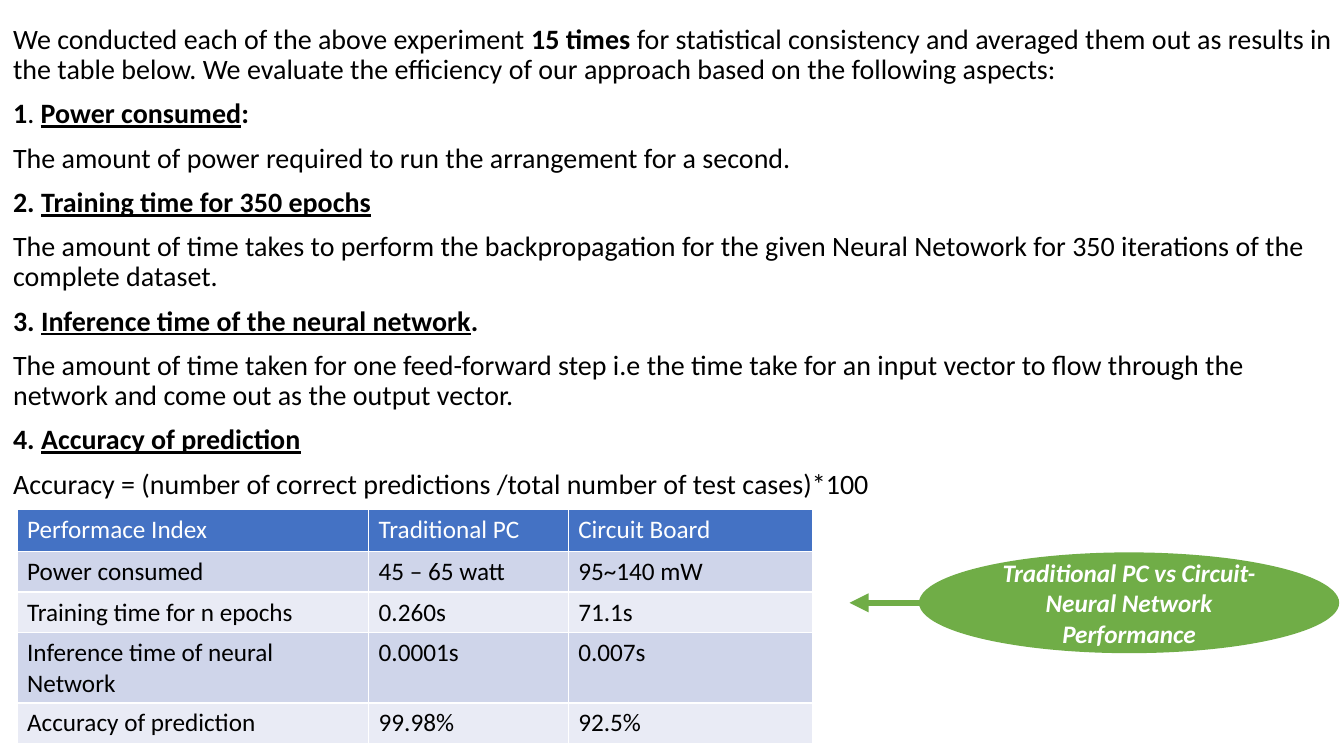
from lxml.etree import SubElement
from pptx import Presentation
from pptx.dml.color import RGBColor
from pptx.enum.shapes import MSO_CONNECTOR, MSO_SHAPE
from pptx.enum.text import MSO_ANCHOR, PP_ALIGN
from pptx.oxml.ns import qn
from pptx.util import Cm, Pt

BLACK = RGBColor(0x00, 0x00, 0x00)
WHITE = RGBColor(0xFF, 0xFF, 0xFF)
BLUE = RGBColor(0x44, 0x72, 0xC4)
DARK_BAND = RGBColor(0xCF, 0xD5, 0xEA)
LIGHT_BAND = RGBColor(0xE9, 0xEB, 0xF5)
GREEN = RGBColor(0x70, 0xAD, 0x47)

ASPECTS = [
    [("We conducted each of the above experiment ", ""), ("15 times ", "b"),
     ("for statistical consistency and averaged them out as results in the table below. "
      "We evaluate the efficiency of our approach based on the following aspects:", "")],
    [("1", "b"), (". ", ""), ("Power consumed", "bu"), (":", "b")],
    [("The amount of power required to run the arrangement for a second.", "")],
    [("2. ", "b"), ("Training time for 350 epochs", "bu")],
    [("The amount of time takes to perform the backpropagation for the given Neural Netowork "
      "for 350 iterations of the complete dataset.", "")],
    [("3. ", "b"), ("Inference time of the neural network", "bu"), (".", "b")],
    [("The amount of time taken for one feed-forward step i.e the time take for an input vector "
      "to flow through the network and come out as the output vector.", "")],
    [("4. ", "b"), ("Accuracy of prediction", "bu")],
    [("Accuracy = (number of correct predictions /total number of test cases)*100", "")],
]

RESULTS = [
    ["Performace Index", "Traditional PC", "Circuit Board"],
    ["Power consumed", "45 – 65 watt", "95~140 mW"],
    ["Training time for n epochs", "0.260s", "71.1s"],
    ["Inference time of neural\nNetwork", "0.0001s", "0.007s"],
    ["Accuracy of prediction", "99.98%", "92.5%"],
]


class SlideBuilder:
    font_name = "Calibri"
    body_size = Pt(20)
    label_size = Pt(18)

    def __init__(self, slide):
        self.slide = slide

    def style(self, span, size, color, marks=""):
        font = span.font
        font.name = self.font_name
        font.size = size
        font.color.rgb = color
        font.bold = "b" in marks
        font.italic = "i" in marks
        font.underline = "u" in marks

    def label(self, frame, text, color, marks="", align=PP_ALIGN.LEFT):
        frame.text = text
        for para in frame.paragraphs:
            para.alignment = align
            for span in para.runs:
                self.style(span, self.label_size, color, marks)

    def body(self, left, top, width, height, paragraphs):
        box = self.slide.shapes.add_textbox(Cm(left), Cm(top), Cm(width), Cm(height))
        frame = box.text_frame
        frame.word_wrap = True
        for index, spans in enumerate(paragraphs):
            para = frame.add_paragraph() if index else frame.paragraphs[0]
            para.line_spacing = 0.9
            para.space_before = Pt(10)
            for text, marks in spans:
                span = para.add_run()
                span.text = text
                self.style(span, self.body_size, BLACK, marks)

    def table(self, left, top, widths, heights, rows):
        table = self.slide.shapes.add_table(
            len(rows), len(widths), Cm(left), Cm(top), Cm(sum(widths)), Cm(sum(heights))).table
        for column, width in zip(table.columns, widths):
            column.width = Cm(width)
        for index, (row, height) in enumerate(zip(table.rows, heights)):
            row.height = Cm(height)
            band = DARK_BAND if index % 2 else LIGHT_BAND
            for cell, text in zip(row.cells, rows[index]):
                cell.fill.solid()
                cell.fill.fore_color.rgb = band if index else BLUE
                self.label(cell.text_frame, text, BLACK if index else WHITE)

    def ellipse(self, left, top, width, height, text):
        shape = self.slide.shapes.add_shape(
            MSO_SHAPE.OVAL, Cm(left), Cm(top), Cm(width), Cm(height))
        shape.shadow.inherit = False
        shape.fill.solid()
        shape.fill.fore_color.rgb = GREEN
        shape.line.fill.background()
        frame = shape.text_frame
        frame.word_wrap = True
        frame.vertical_anchor = MSO_ANCHOR.MIDDLE
        self.label(frame, text, WHITE, "bi", PP_ALIGN.CENTER)

    def arrow(self, start, end, y):
        connector = self.slide.shapes.add_connector(
            MSO_CONNECTOR.STRAIGHT, Cm(start), Cm(y), Cm(end), Cm(y))
        connector.line.color.rgb = GREEN
        connector.line.width = Pt(4.5)
        SubElement(connector.line._get_or_add_ln(), qn("a:tailEnd"), type="triangle")
        SubElement(connector._element.spPr, qn("a:effectLst"))


def main():
    deck = Presentation()
    deck.slide_width = Cm(33.87)
    deck.slide_height = Cm(19.05)
    page = SlideBuilder(deck.slides.add_slide(deck.slide_layouts[6]))
    page.body(0.08, 0.51, 33.86, 18.54, ASPECTS)
    page.table(0.43, 12.83, [8.86, 5.03, 6.17], [1.07, 0.97, 0.97, 1.7, 0.97], RESULTS)
    page.ellipse(23.16, 13.92, 10.59, 2.54,
                 "Traditional PC vs Circuit-\nNeural Network Performance")
    page.arrow(24.56, 21.41, 15.19)
    deck.save("out.pptx")


if __name__ == "__main__":
    main()
